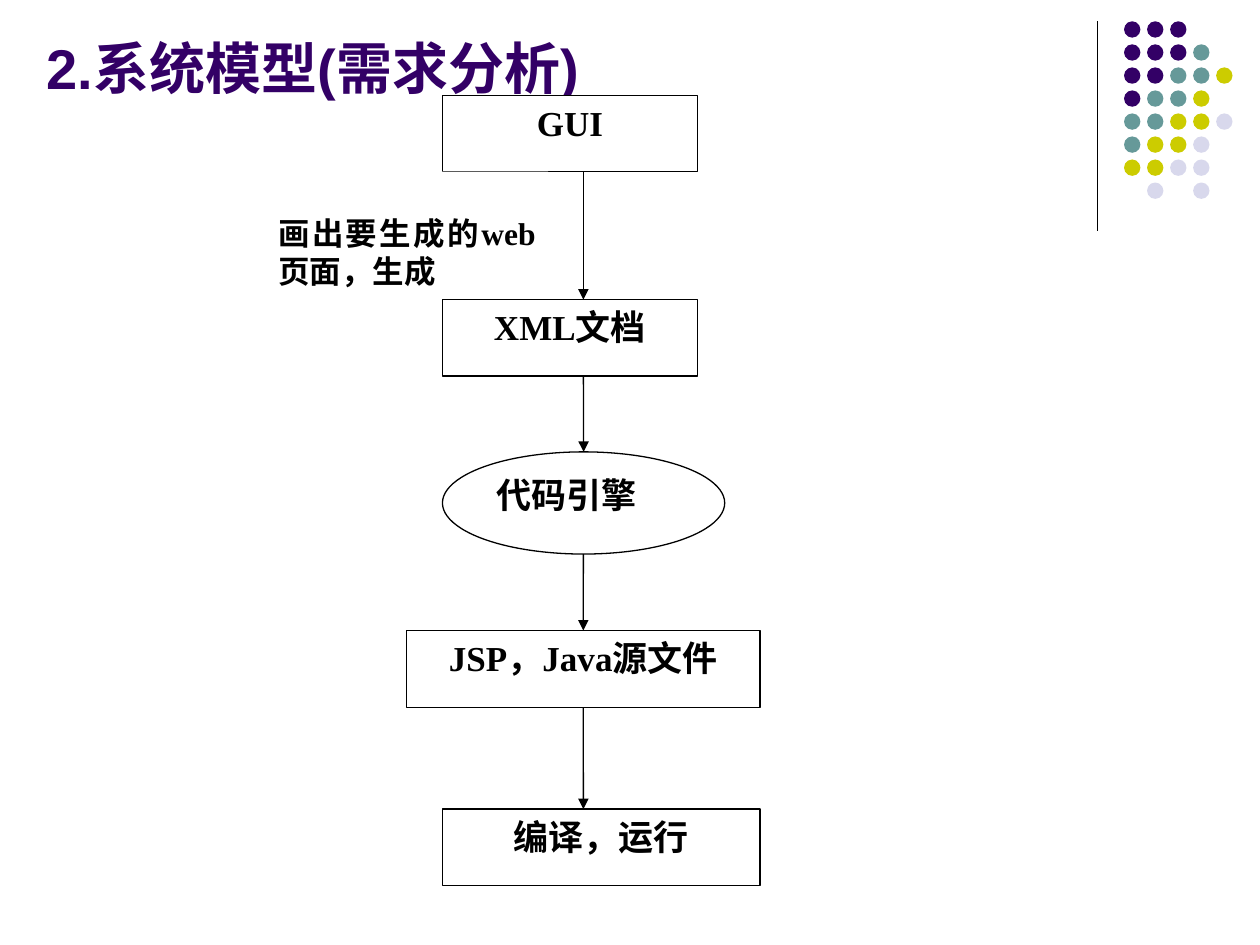
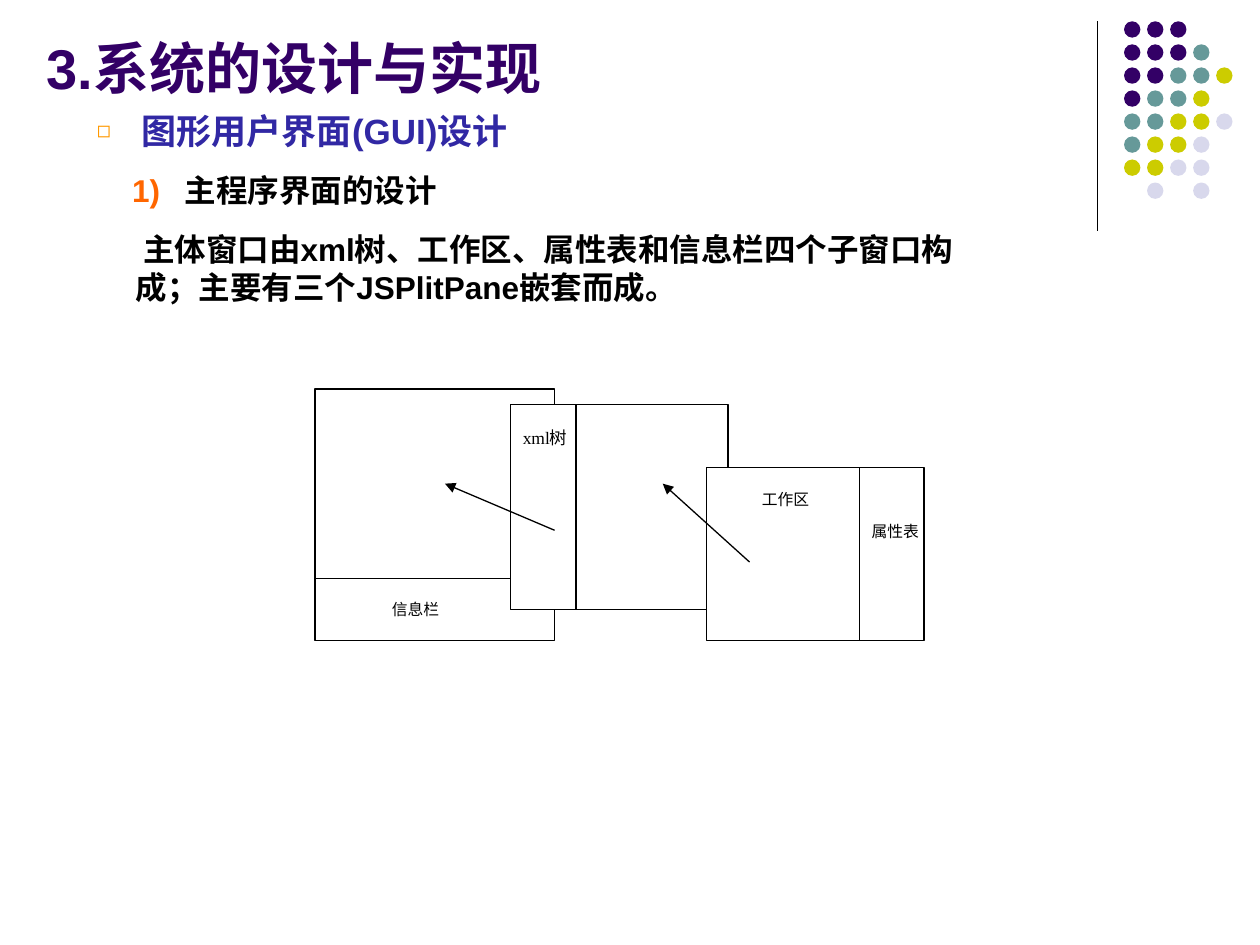
"""Build two slides on the model and the design of a code generator."""
from dataclasses import dataclass
from typing import Optional

from lxml.etree import SubElement
from pptx import Presentation
from pptx.dml.color import RGBColor
from pptx.enum.shapes import MSO_CONNECTOR, MSO_SHAPE
from pptx.enum.text import MSO_ANCHOR, MSO_AUTO_SIZE, PP_ALIGN
from pptx.oxml.ns import qn
from pptx.util import Cm, Pt

SANS, SERIF = "Arial", "Times New Roman"
BLACK, WHITE, PURPLE = "000000", "FFFFFF", "330066"
BLUE, ORANGE, AMBER = "3128A4", "FF6600", "FF9900"
DOT_COLORS = {"P": PURPLE, "T": "669999", "Y": "CCCC00", "L": "D8D8EC"}
DOT_ROWS = ["PPP", "PPPT", "PPTTY", "PTTY", "TTYYL", "TYYL", "YYLL", " L L"]
DOT_SIZE, DOT_PITCH = 0.33, 3.25 / 7
DOTS_LEFT, DOTS_TOP = 22.66, 0.43
FLOW_X = 11.76


@dataclass
class Box:
    left: float
    top: float
    width: float
    height: float

    @property
    def right(self) -> float:
        return self.left + self.width

    @property
    def bottom(self) -> float:
        return self.top + self.height

    def lengths(self) -> list:
        return [Cm(v) for v in (self.left, self.top, self.width, self.height)]


@dataclass
class Step:
    text: str
    box: Box
    kind: MSO_SHAPE = MSO_SHAPE.RECTANGLE
    align: PP_ALIGN = PP_ALIGN.CENTER


@dataclass
class Pane:
    box: Box
    split_x: Optional[float] = None
    split_y: Optional[float] = None


@dataclass
class Label:
    text: str
    left: float
    top: float
    size: int = 9


STEPS = [
    Step("GUI", Box(8.92, 1.92, 5.14, 1.54)),
    Step("XML文档", Box(8.92, 6.04, 5.14, 1.54)),
    Step("代码引擎", Box(8.92, 9.11, 5.69, 2.06), MSO_SHAPE.OVAL, PP_ALIGN.JUSTIFY),
    Step("JSP，Java源文件", Box(8.2, 12.71, 7.12, 1.55)),
    Step("编译，运行", Box(8.92, 16.31, 6.4, 1.54)),
]
PANES = [
    Pane(Box(6.35, 7.84, 4.83, 5.08), split_y=11.66),
    Pane(Box(10.29, 8.16, 4.39, 4.13), split_x=11.61),
    Pane(Box(14.24, 9.43, 4.39, 3.49), split_x=17.32),
]
NESTING = [(11.18, 10.69, 8.97, 9.75), (15.11, 11.33, 13.36, 9.75)]
LABELS = [
    Label("信息栏", 7.65, 11.96),
    Label("xml树", 10.29, 8.48, 10),
    Label("属性表", 17.32, 10.39),
    Label("工作区", 15.11, 9.75),
]


def rgb(color: str) -> RGBColor:
    """Turn a hex string into a colour."""
    return RGBColor.from_string(color)


def write(tf, text: str, *, p=None, size=18, font=SANS, color=BLACK, bold=True,
          align=PP_ALIGN.LEFT, before=0):
    """Add a run to p, or to the next free paragraph, and return the paragraph."""
    if p is None:
        last = tf.paragraphs[-1]
        p = tf.add_paragraph() if last.runs else last
        p.alignment, p.space_before = align, Pt(before)
    r = p.add_run()
    r.text = text
    r.font.size, r.font.name, r.font.bold = Pt(size), font, bold
    r.font.color.rgb = rgb(color)
    return p


def add_box(s, box: Box, kind=MSO_SHAPE.RECTANGLE, fill=WHITE, line=None):
    """Draw a filled shape whose text starts at the top."""
    sp = s.shapes.add_shape(kind, *box.lengths())
    sp.shadow.inherit = False
    sp.fill.solid()
    sp.fill.fore_color.rgb = rgb(fill)
    if line:
        sp.line.color.rgb, sp.line.width = rgb(line), Pt(0.75)
    else:
        sp.line.fill.background()
    sp.text_frame.vertical_anchor = MSO_ANCHOR.TOP
    sp.text_frame.word_wrap = True
    return sp


def add_line(s, x1: float, y1: float, x2: float, y2: float, arrow=False):
    """Draw a thin black line, with an arrowhead at its end if asked."""
    cx = s.shapes.add_connector(MSO_CONNECTOR.STRAIGHT, Cm(x1), Cm(y1), Cm(x2), Cm(y2))
    cx.line.color.rgb, cx.line.width = rgb(BLACK), Pt(0.75)
    if arrow:
        SubElement(cx.line._get_or_add_ln(), qn("a:tailEnd"), type="triangle")
    SubElement(cx._element.spPr, qn("a:effectLst"))
    return cx


def add_text_box(s, box: Box):
    """Add a wrapping text box and return its text frame."""
    tf = s.shapes.add_textbox(*box.lengths()).text_frame
    tf.word_wrap = True
    return tf


def place(sp, box: Box, anchor: MSO_ANCHOR):
    """Move a placeholder and return its text frame."""
    sp.left, sp.top, sp.width, sp.height = box.lengths()
    tf = sp.text_frame
    tf.auto_size, tf.vertical_anchor, tf.word_wrap = MSO_AUTO_SIZE.NONE, anchor, True
    return tf


def set_indent(p, margin: float, hanging: float, bullet="", color=BLACK) -> None:
    """Give a paragraph a hanging indent and an optional bullet."""
    pPr = p._p.get_or_add_pPr()
    pPr.set("marL", str(Cm(margin)))
    pPr.set("indent", str(-Cm(hanging)))
    if bullet:
        SubElement(SubElement(pPr, qn("a:buClr")), qn("a:srgbClr"), val=color)
        SubElement(pPr, qn("a:buSzPct"), val="65000")
        SubElement(pPr, qn("a:buChar"), char=bullet)
    else:
        SubElement(pPr, qn("a:buNone"))
        tabs = SubElement(pPr, qn("a:tabLst"))
        SubElement(tabs, qn("a:tab"), pos=str(Cm(margin)), algn="l")


def decorate_master(prs, s) -> None:
    """Draw the rule and the dot pattern and move them to the slide master."""
    shapes = [add_line(s, 22.12, 0.43, 22.12, 4.65)]
    for row, colors in enumerate(DOT_ROWS):
        for col, key in enumerate(colors):
            if key in DOT_COLORS:
                dot = Box(DOTS_LEFT + col * DOT_PITCH, DOTS_TOP + row * DOT_PITCH,
                          DOT_SIZE, DOT_SIZE)
                shapes.append(add_box(s, dot, MSO_SHAPE.OVAL, DOT_COLORS[key]))
    for number, sp in enumerate(shapes, 100):
        sp._element.xpath(".//p:cNvPr")[0].set("id", str(number))
        prs.slide_master.shapes.element.append(sp._element)


def add_slide(prs, layout: int, title: str):
    """Add a slide with the shared title style."""
    s = prs.slides.add_slide(prs.slide_layouts[layout])
    tf = place(s.shapes.title, Box(0.69, 0.53, 20.96, 1.63), MSO_ANCHOR.BOTTOM)
    write(tf, title, size=32, color=PURPLE)
    return s


def build_model(s) -> None:
    """Draw the flow from the GUI to the running program."""
    shapes = []
    for step in STEPS:
        sp = add_box(s, step.box, step.kind, line=BLACK)
        write(sp.text_frame, step.text, size=20, font=SERIF, align=step.align)
        shapes.append(sp)
    note = add_box(s, Box(5.36, 3.46, 5.69, 2.56)).text_frame
    note.margin_top = Cm(0.86)
    write(note, "画出要生成的web页面，生成", font=SERIF, align=PP_ALIGN.JUSTIFY)
    engine, source = shapes[2:4]
    for i, (a, b) in enumerate(zip(STEPS, STEPS[1:])):
        cx = add_line(s, FLOW_X, a.box.bottom, FLOW_X, b.box.top, arrow=True)
        if shapes[i] is source:
            cx.begin_connect(source, 2)
        if shapes[i + 1] in (engine, source):
            cx.end_connect(shapes[i + 1], 0)


def build_design(s) -> None:
    """Write the outline and draw the nested split panes."""
    tf = place(s.placeholders[1], Box(1.7, 2.08, 12.6, 2.26), MSO_ANCHOR.TOP)
    p = write(tf, "图形用户界面(GUI)设计", size=20, color=BLUE, before=12.5)
    set_indent(p, 0.9, 0.9, "◻", AMBER)
    p = write(tf, "1)\t", color=ORANGE, before=11.2)
    write(tf, "主程序界面的设计", p=p)
    set_indent(p, 1.77, 1.06)

    for pane in PANES:
        box = pane.box
        add_box(s, box, line=BLACK)
        if pane.split_x:
            add_line(s, pane.split_x, box.top, pane.split_x, box.bottom)
        if pane.split_y:
            add_line(s, box.left, pane.split_y, box.right, pane.split_y)
    for ends in NESTING:
        add_line(s, *ends, arrow=True)
    for label in LABELS:
        tf = add_text_box(s, Box(label.left, label.top, 1.75, 0.94))
        write(tf, label.text, size=label.size, font=SERIF, bold=False,
              align=PP_ALIGN.JUSTIFY)

    tf = add_text_box(s, Box(2.49, 4.52, 17.4, 1.78))
    write(tf, " 主体窗口由xml树、工作区、属性表和信息栏四个子窗口构成；"
              "主要有三个JSPlitPane嵌套而成。", before=11.2)


def main() -> None:
    """Build and save the presentation."""
    prs = Presentation()
    prs.slide_width, prs.slide_height = Cm(25.4), Cm(19.05)
    model = add_slide(prs, 5, "2.系统模型(需求分析)")
    decorate_master(prs, model)
    build_model(model)
    build_design(add_slide(prs, 1, "3.系统的设计与实现"))
    prs.save("out.pptx")


if __name__ == "__main__":
    main()
